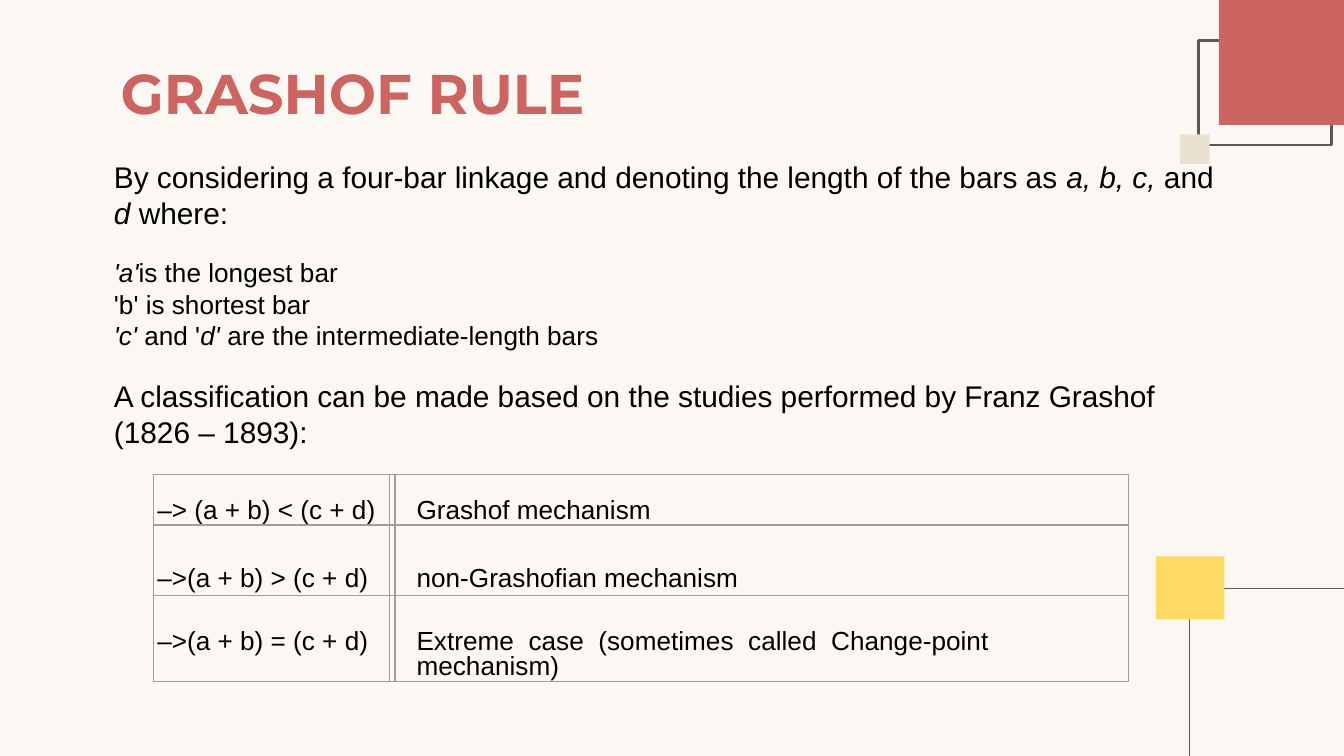
from lxml import etree
from pptx import Presentation
from pptx.dml.color import RGBColor
from pptx.enum.shapes import MSO_CONNECTOR as Connector, MSO_SHAPE as Shape
from pptx.enum.text import MSO_ANCHOR as Anchor, PP_ALIGN as Align
from pptx.oxml.ns import qn
from pptx.util import Inches, Pt

RED, CREAM, SAND, YELLOW = "CC6461", "FBF8F4", "EBE1D0", "FFD966"
GRAY, BORDER, BLACK = "595959", "9E9E9E", "000000"
WIDTH = 10
HEIGHT = WIDTH * 9 / 16


def color(value):
    return RGBColor.from_string(value)


def add_text(para, text, font="Arial", size=14, ink=BLACK, bold=False, italic=False):
    span = para.add_run()
    span.text = text
    span.font.name = font
    span.font.size = Pt(size)
    span.font.color.rgb = color(ink)
    span.font.bold = bold
    span.font.italic = italic


class Slide:
    def __init__(self, deck, background):
        self.page = deck.slides.add_slide(deck.slide_layouts[6])
        self.page.background.fill.solid()
        self.page.background.fill.fore_color.rgb = color(background)

    def rectangle(self, x, y, width, height, fill=None, line=None):
        box = self.page.shapes.add_shape(
            Shape.RECTANGLE, Inches(x), Inches(y), Inches(width), Inches(height))
        box.shadow.inherit = False
        if fill:
            box.fill.solid()
            box.fill.fore_color.rgb = color(fill)
        else:
            box.fill.background()
        if line:
            box.line.color.rgb = color(line)
            box.line.width = Pt(1.5)
        else:
            box.line.fill.background()

    def line(self, x1, y1, x2, y2):
        line = self.page.shapes.add_connector(
            Connector.STRAIGHT, Inches(x1), Inches(y1), Inches(x2), Inches(y2))
        line.line.color.rgb = color(GRAY)
        line.line.width = Pt(0.75)
        etree.SubElement(line._element.spPr, qn("a:effectLst"))

    def text(self, x, y, width, height, paragraphs, anchor=Anchor.TOP, inset=0.05):
        """Each paragraph is (space before, size, [(text, format), ...])."""
        box = self.page.shapes.add_textbox(
            Inches(x), Inches(y), Inches(width), Inches(height))
        frame = box.text_frame
        frame.word_wrap = True
        frame.vertical_anchor = anchor
        frame.margin_top = frame.margin_bottom = Inches(inset)
        for index, (before, size, spans) in enumerate(paragraphs):
            para = frame.paragraphs[0] if index == 0 else frame.add_paragraph()
            if before:
                para.space_before = Pt(before)
            for words, style in spans:
                add_text(para, words, size=size, **style)

    def table(self, x, y, widths, rows):
        """Each row is (height, top margin, line spacing, cell texts)."""
        grid = self.page.shapes.add_table(
            len(rows), len(widths), Inches(x), Inches(y), Inches(sum(widths)),
            Inches(sum(row[0] for row in rows))).table
        grid.first_row = grid.horz_banding = False
        for column, width in zip(grid.columns, widths):
            column.width = Inches(width)
        for index, (height, top, spacing, texts) in enumerate(rows):
            grid.rows[index].height = Inches(height)
            for column, words in enumerate(texts):
                self.cell(grid.cell(index, column), words, top, spacing, column)

    def cell(self, cell, words, top, spacing, column):
        cell.margin_left = Inches((0.03, 0, 0.16)[column])
        cell.margin_right = Inches((0, 0, 1.04)[column])
        cell.margin_top = Inches(top if words else 0)
        cell.margin_bottom = 0
        for side in ("a:lnL", "a:lnR", "a:lnT", "a:lnB"):
            edge = etree.SubElement(cell._tc.get_or_add_tcPr(), qn(side), w=str(Pt(0.75)))
            fill = etree.SubElement(edge, qn("a:solidFill"))
            etree.SubElement(fill, qn("a:srgbClr"), val=BORDER)
        cell.fill.background()
        para = cell.text_frame.paragraphs[0]
        if words:
            para.alignment = Align.JUSTIFY if column == 2 else Align.LEFT
            if spacing:
                para.line_spacing = Pt(spacing)
            add_text(para, words)
        else:
            para.font.size = Pt(14)


def main():
    deck = Presentation()
    deck.slide_width, deck.slide_height = Inches(WIDTH), Inches(HEIGHT)
    slide = Slide(deck, CREAM)

    # Corner decorations
    slide.rectangle(8.92, 0.3, 0.99, 0.78, line=GRAY)
    slide.rectangle(9.07, 0, 0.93, 0.93, fill=RED)
    slide.rectangle(8.78, 1, 0.22, 0.22, fill=SAND)
    slide.line(8.85, 4.28, 8.85, HEIGHT)
    slide.line(WIDTH, 4.38, 8.85, 4.38)
    slide.rectangle(8.6, 4.14, 0.51, 0.47, fill=YELLOW)

    # Title
    heading = {"font": "Montserrat", "ink": "CC6462", "bold": True}
    slide.text(0.8, 0.37, 9.32, 0.63, [(0, 30, [("GRASHOF RULE", heading)])],
               anchor=Anchor.MIDDLE, inset=0.1)

    # Classification table
    slide.table(1.14, 3.53, (1.76, 0.03, 5.46), [
        (0.37, 0.19, 13.4, ("–> (a + b) < (c + d)", "", "Grashof mechanism")),
        (0.52, 0.29, None, ("–>(a + b) > (c + d)", "", "non‐Grashofian mechanism")),
        (0.64, 0.27, 13.2, ("–>(a + b) = (c + d)", "",
                            "Extreme case (sometimes called Change‐point mechanism)")),
    ])

    # Explanation
    plain, slanted = {}, {"italic": True}
    slide.text(0.75, 1.13, 8.5, 2.49, [
        (0, 16, [("By considering a four‐bar linkage and denoting the length of the bars as ", plain),
                 ("a, b, c, ", slanted), ("and ", plain), ("d ", slanted), ("where:", plain)]),
        (14.3, 14, [("'a'", slanted), ("is the longest bar", plain)]),
        (0, 14, [("'b' is shortest bar", plain)]),
        (0, 14, [("'c' ", slanted), ("and '", plain), ("d' ", slanted),
                 ("are the intermediate‐length bars", plain)]),
        (14.3, 16, [("A classification can be made based on the studies performed by "
                     "Franz Grashof (1826 – 1893):", plain)]),
    ])

    deck.save("out.pptx")


if __name__ == "__main__":
    main()
